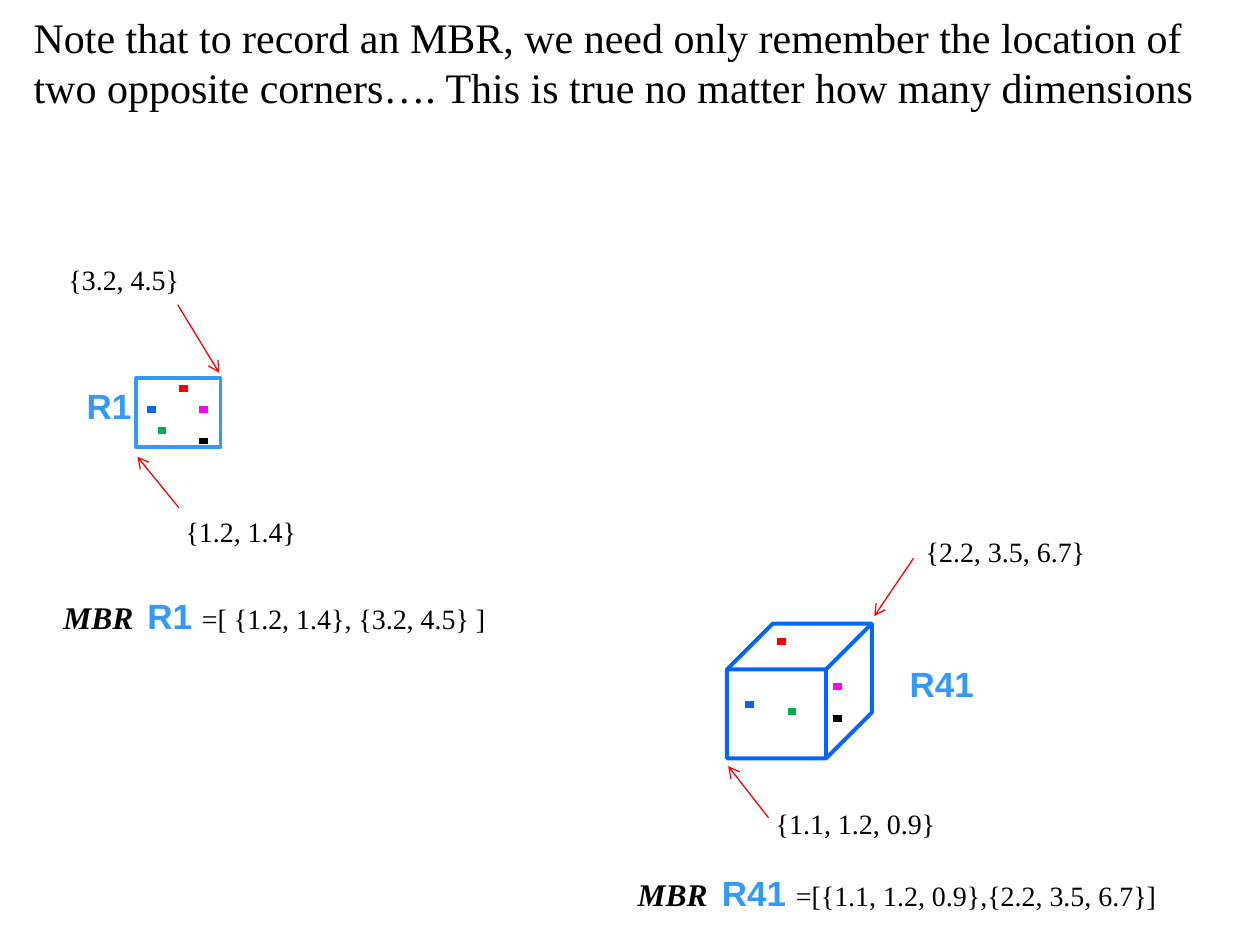
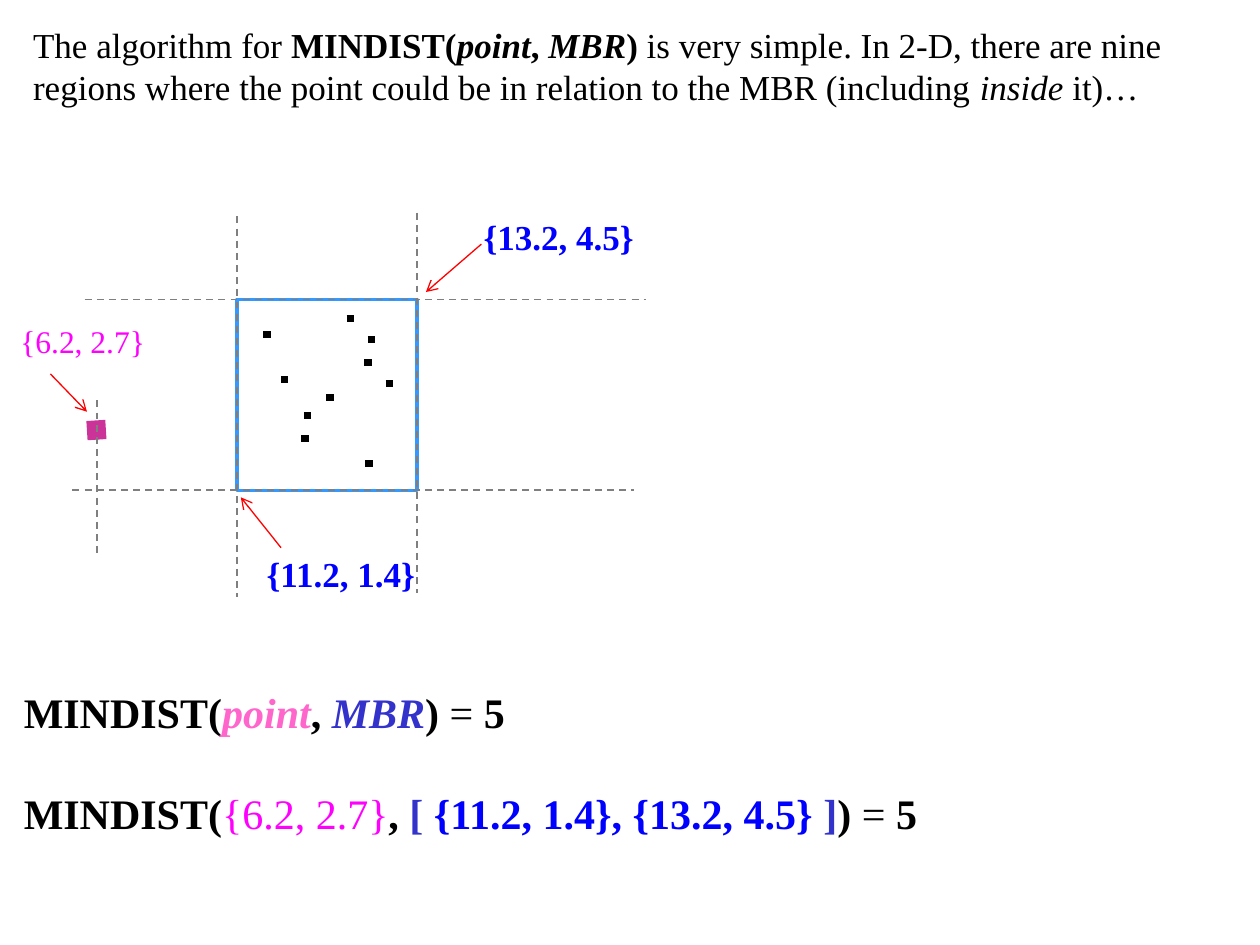
from pptx import Presentation
from pptx.dml.color import RGBColor
from pptx.enum.dml import MSO_LINE
from pptx.enum.shapes import MSO_CONNECTOR, MSO_SHAPE
from pptx.enum.text import MSO_ANCHOR, MSO_AUTO_SIZE, PP_ALIGN
from pptx.oxml.ns import qn
from pptx.util import Pt
from lxml.etree import SubElement

BLACK = RGBColor(0x00, 0x00, 0x00)
RED = RGBColor(0xFF, 0x00, 0x00)
GREEN = RGBColor(0x00, 0xB0, 0x50)
MAGENTA = RGBColor(0xFF, 0x00, 0xFF)
SKY = RGBColor(0x33, 0x99, 0xFF)
ROYAL = RGBColor(0x00, 0x66, 0xFF)
BLUE = RGBColor(0x00, 0x00, 0xFF)
INDIGO = RGBColor(0x33, 0x33, 0xCC)
PINK = RGBColor(0xFF, 0x66, 0xCC)
PLUM = RGBColor(0xCC, 0x33, 0x99)
GRAY = RGBColor(0x7F, 0x7F, 0x7F)
SERIF, SANS = "Times New Roman", "Arial"
TITLE_ONLY = 5
DOT_COLORS = (BLACK, ROYAL, MAGENTA, GREEN, RED)


def add_runs(paragraph, runs, size):
    """Add (text, style letters, colour) runs in the serif face."""
    paragraph.font.name, paragraph.font.size = SERIF, Pt(size)
    for text, style, color in runs:
        run = paragraph.add_run()
        run.text = text
        run.font.name, run.font.size = SERIF, Pt(size)
        run.font.bold, run.font.italic = "b" in style, "i" in style
        run.font.color.rgb = color


def set_title(slide, box, runs, size):
    """Place the title placeholder in the box and fill it with runs."""
    title = slide.shapes.title
    title.left, title.top, title.width, title.height = map(Pt, box)
    frame = title.text_frame
    frame.word_wrap, frame.auto_size = True, MSO_AUTO_SIZE.NONE
    frame.vertical_anchor = MSO_ANCHOR.TOP
    paragraph = frame.paragraphs[0]
    paragraph.alignment = PP_ALIGN.LEFT
    add_runs(paragraph, runs, size)


def add_text_box(slide, left, top, width, height, wrap=True):
    """Add an empty text box and return its text frame."""
    frame = slide.shapes.add_textbox(Pt(left), Pt(top), Pt(width), Pt(height)).text_frame
    frame.word_wrap = wrap
    return frame


def add_label(slide, left, top, width, text, size, color=BLACK, font=SERIF, bold=False):
    """Add a one-line centred label that may use the full width of its box."""
    frame = add_text_box(slide, left, top, width, size * 1.2 + 7.2, wrap=False)
    frame.margin_left = frame.margin_right = Pt(0)
    paragraph = frame.paragraphs[0]
    paragraph.text, paragraph.alignment = text, PP_ALIGN.CENTER
    paragraph.font.name, paragraph.font.size = font, Pt(size)
    paragraph.font.bold, paragraph.font.color.rgb = bold, color


def add_line(slide, origin, start, end, color, width, dash=None, arrow=False):
    """Draw a line between two points measured from the origin."""
    left, top = origin
    connector = slide.shapes.add_connector(
        MSO_CONNECTOR.STRAIGHT, Pt(left + start[0]), Pt(top + start[1]),
        Pt(left + end[0]), Pt(top + end[1]))
    connector.line.color.rgb, connector.line.width = color, Pt(width)
    if dash:
        connector.line.dash_style = dash
    properties = connector._element.spPr
    if arrow:
        SubElement(properties.find(qn("a:ln")), qn("a:tailEnd"), type="arrow")
    SubElement(properties, qn("a:effectLst"))


def add_arrow(slide, origin, start, end):
    """Draw a thin red arrow."""
    add_line(slide, origin, start, end, RED, 0.75, arrow=True)


def add_dot(slide, origin, x, y, color, length):
    """Draw a data point as a short thick stroke."""
    add_line(slide, origin, (x, y), (x + length, y), color, 4)


def add_outline(slide, kind, box, color, width):
    """Draw an unfilled outline shape."""
    shape = slide.shapes.add_shape(kind, *map(Pt, box))
    shape.shadow.inherit = False
    shape.fill.background()
    shape.line.color.rgb, shape.line.width = color, Pt(width)
    return shape


def add_mbr_notes(slide, origin, dots, name, name_box, corners, formula, formula_box):
    """Add the points, name, corners and formula of a bounding region."""
    left, top = origin
    for (x, y), color in zip(dots, DOT_COLORS):
        add_dot(slide, origin, x, y, color, 5)
    x, y, width = name_box
    add_label(slide, left + x, top + y, width, name, 20, SKY, SANS, True)
    for text, (x, y, width), start, end in corners:
        add_arrow(slide, origin, start, end)
        add_label(slide, left + x, top + y, width, text, 16)

    x, y, width = formula_box
    paragraph = add_text_box(slide, left + x, top + y, width, 46).paragraphs[0]
    paragraph.alignment = PP_ALIGN.CENTER
    add_runs(paragraph, [("MBR", "bi", BLACK)], 18)
    add_runs(paragraph, [(" ", "b", BLACK)], 32)
    add_runs(paragraph, [(name + " ", "b", SKY)], 20)
    paragraph.runs[-1].font.name = SANS
    add_runs(paragraph, [(formula, "", BLACK)], 16)


def build_corners_slide(slide):
    """Show that two opposite corners describe an MBR in 2-D and 3-D."""
    set_title(slide, (12, 3, 699, 122), [
        ("Note that to record an MBR, we need only remember the location of two opposite "
         "corners…. This is true no matter how many dimensions", "", BLACK)], 24)

    square = (77.8, 216)
    add_outline(slide, MSO_SHAPE.RECTANGLE, (*square, 48.2, 39.6), SKY, 2)
    add_mbr_notes(
        slide, square,
        [(36, 36), (6.5, 18), (36, 18), (12.2, 30.2), (24.5, 6)],
        "R1", (-35.3, 0, 39.6),
        [("{3.2, 4.5}", (-46, -69.8, 77.8), (23.8, -41.8), (47.5, -2.9)),
         ("{1.2, 1.4}", (20.9, 74.2, 77.8), (24.5, 74.2), (0.7, 45))],
        "=[ {1.2, 1.4}, {3.2, 4.5} ]", (-78, 108, 314))

    cube = (415.4, 356.4)
    shape = add_outline(slide, MSO_SHAPE.CUBE, (*cube, 82.8, 77), ROYAL, 2.25)
    shape.adjustments[0] = 0.34
    add_mbr_notes(
        slide, cube,
        [(60.5, 54), (10.5, 46.3), (60.5, 36), (34.6, 50.4), (28.8, 10.3)],
        "R41", (97.2, 18.7, 51.1),
        [("{2.2, 3.5, 6.7}", (106.6, -54.7, 105.1), (106.6, -37.4), (84.2, -4.3)),
         ("{1.1, 1.2, 0.9}", (20.9, 100.8, 105.1), (23.8, 111), (0.7, 81.4))],
        "=[{1.1, 1.2, 0.9},{2.2, 3.5, 6.7}]", (-110.2, 126, 414.7))


def add_region_diagram(slide, left, top):
    """Draw the MBR, its nine regions and the query point."""
    origin, width, height = (left, top), 103, 109
    add_outline(slide, MSO_SHAPE.RECTANGLE, (left, top, width, height), SKY, 2)
    for x, y in [(72.7, 36), (85, 48.2), (25.2, 45.4), (36.7, 79.2), (73.4, 93.6),
                 (62.6, 10.8), (74.9, 23), (15.1, 20.2), (51.1, 56.2), (38.2, 66.2)]:
        add_dot(slide, origin, x, y, BLACK, 4.2)
    add_line(slide, origin, (-85.7, 74.9), (-74.9, 74.2), PLUM, 11)

    for start, end in [((-87, 0), (234, 0)), ((-94, height), (227, height)),
                       ((0, -47.5), (0, 170)), ((width, -49.7), (width, 167.8)),
                       ((-80, 57.6), (-80, 144.7))]:
        add_line(slide, origin, start, end, GRAY, 1, dash=MSO_LINE.DASH)

    for start, end in [((25.2, 141.8), (2.2, 113)), ((139.7, -31.7), (108, -4.3)),
                       ((-106.6, 42.5), (-85.7, 64.1))]:
        add_arrow(slide, origin, start, end)
    add_label(slide, left + 133.9, top - 51.8, 100, "{13.2, 4.5}", 20, BLUE, bold=True)
    add_label(slide, left + 9.4, top + 141.1, 100, "{11.2, 1.4}", 20, BLUE, bold=True)
    add_label(slide, left - 131, top + 9.4, 85.7, "{6.2, 2.7}", 18, MAGENTA)


def add_mindist_results(slide, left, top):
    """Write the MINDIST result in words and in numbers."""
    result = [(")", "b", BLACK), (" = ", "", BLACK), ("5", "b", BLACK)]
    call, comma = ("MINDIST(", "b", BLACK), (", ", "b", BLACK)
    frame = add_text_box(slide, left, top, 687.6, 100)
    add_runs(frame.paragraphs[0],
             [call, ("point", "bi", PINK), comma, ("MBR", "bi", INDIGO), *result], 24)
    paragraph = frame.add_paragraph()
    paragraph.space_before = Pt(28.9)
    add_runs(paragraph,
             [call, ("{6.2, 2.7}", "", MAGENTA), comma, ("[ ", "b", INDIGO),
              ("{11.2, 1.4}, {13.2, 4.5}", "b", BLUE), (" ]", "b", INDIGO), *result], 24)


def build_mindist_slide(slide):
    """Show how MINDIST is found for a point outside an MBR."""
    set_title(slide, (11.7, 10, 672, 55.4), [
        ("The algorithm for ", "", BLACK), ("MINDIST(", "b", BLACK),
        ("point", "bi", BLACK), (", ", "b", BLACK), ("MBR", "bi", BLACK),
        (")", "b", BLACK),
        (" is very simple. In 2-D, there are nine regions where the point could be "
         "in relation to the MBR (including ", "", BLACK),
        ("inside", "i", BLACK), (" it)…", "", BLACK)], 20)
    add_region_diagram(slide, 135.4, 171.2)
    add_mindist_results(slide, 6.5, 388.8)


def main():
    """Build and save the presentation."""
    presentation = Presentation()
    presentation.slide_width, presentation.slide_height = Pt(720), Pt(540)
    layout = presentation.slide_layouts[TITLE_ONLY]
    for build in (build_corners_slide, build_mindist_slide):
        build(presentation.slides.add_slide(layout))
    presentation.save("out.pptx")


if __name__ == "__main__":
    main()
